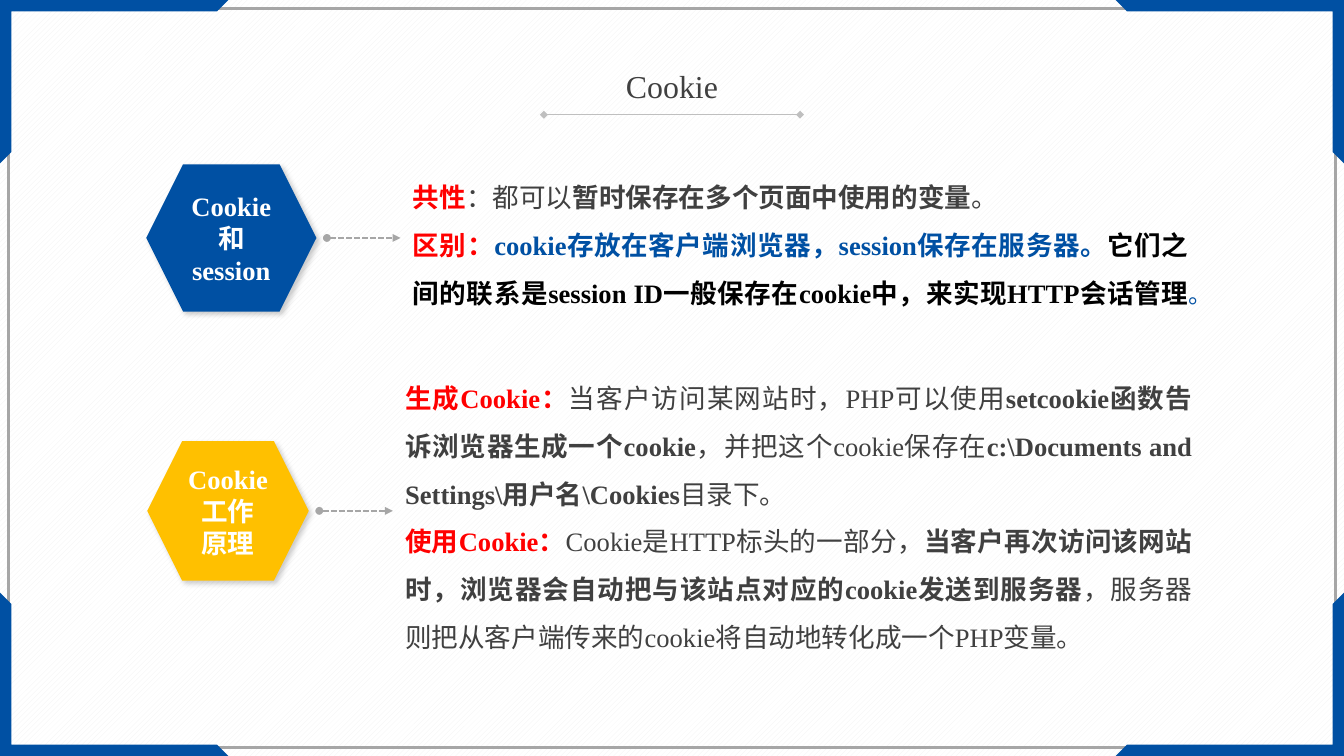
from lxml import etree
from pptx import Presentation
from pptx.dml.color import RGBColor as RGB
from pptx.enum.dml import MSO_LINE as Dash, MSO_PATTERN as Pattern
from pptx.enum.shapes import MSO_CONNECTOR as Link, MSO_SHAPE as Shape
from pptx.enum.text import MSO_ANCHOR as Anchor, MSO_AUTO_SIZE as Fit, PP_ALIGN as Align
from pptx.oxml import parse_xml
from pptx.oxml.ns import nsdecls, qn
from pptx.util import Inches, Pt

WIDE, HIGH = 14.06, 7.91
BLUE = RGB(0x00, 0x50, 0xA3)
GOLD = RGB(0xFF, 0xC0, 0x00)
RED = RGB(0xFF, 0x00, 0x00)
DARK = RGB(0x40, 0x40, 0x40)
GRAY = RGB(0xA6, 0xA6, 0xA6)
PALE = RGB(0xBF, 0xBF, 0xBF)
MIST = RGB(0xF2, 0xF2, 0xF2)
BLACK = RGB(0x00, 0x00, 0x00)
WHITE = RGB(0xFF, 0xFF, 0xFF)

BASE = {"name": "Times New Roman", "size": Pt(20), "bold": False}
STYLES = {
    "title": {"size": Pt(24), "color": DARK},
    "label": {"bold": True, "color": WHITE},
    "lead": {"bold": True, "color": RED},
    "body": {"color": DARK},
    "strong": {"bold": True, "color": DARK},
    "fact": {"bold": True, "color": BLUE},
    "note": {"bold": True, "color": BLACK},
    "stop": {"size": Pt(18), "color": BLUE},
}

COMPARE = [
    [("lead", "共性"), ("body", "：都可以"),
     ("strong", "暂时保存在多个页面中使用的变量"), ("body", "。")],
    [("lead", "区别："),
     ("fact", "cookie存放在客户端浏览器，session保存在服务器。"),
     ("note", "它们之间的联系是session ID一般保存在cookie中，来实现HTTP会话管理"),
     ("stop", "。")],
]
WORKING = [
    [("lead", "生成Cookie："), ("body", "当客户访问某网站时，PHP可以使用"),
     ("strong", "setcookie函数告诉浏览器生成一个cookie"),
     ("body", "，并把这个cookie保存在"),
     ("strong", "c:\\Documents and Settings\\用户名\\Cookies"),
     ("body", "目录下。")],
    [("lead", "使用Cookie："), ("body", "Cookie是HTTP标头的一部分，"),
     ("strong", "当客户再次访问该网站时，浏览器会自动把与该站点对应的cookie发送到服务器"),
     ("body", "，服务器则把从客户端传来的cookie将自动地转化成一个PHP变量。")],
]


def write(frame, paras, align, gap=None):
    """Fill a text frame with paragraphs of (style, text) runs."""
    for i, runs in enumerate(paras):
        para = frame.paragraphs[0] if i == 0 else frame.add_paragraph()
        para.alignment = align
        if gap:
            para.line_spacing = gap
        for style, text in runs:
            run = para.add_run()
            run.text = text
            for key, value in {**BASE, **STYLES[style]}.items():
                if key == "color":
                    run.font.color.rgb = value
                else:
                    setattr(run.font, key, value)


def add_text(slide, box, paras, align, gap=None, wrap=True):
    frame = slide.shapes.add_textbox(*map(Inches, box)).text_frame
    frame.word_wrap = wrap
    frame.auto_size = Fit.SHAPE_TO_FIT_TEXT
    write(frame, paras, align, gap)


def add_line(slide, left, right, y, color, width, ends, dash=None):
    """Draw a level line with the given head and tail marks."""
    line = slide.shapes.add_connector(Link.STRAIGHT, *map(Inches, (left, y, right, y)))
    line.line.color.rgb = color
    line.line.width = Pt(width)
    if dash:
        line.line.dash_style = dash
    for tag, mark in zip(("a:headEnd", "a:tailEnd"), ends):
        etree.SubElement(line.line._get_or_add_ln(), qn(tag), type=mark)
    etree.SubElement(line._element.spPr, qn("a:effectLst"))


def add_shadow(shape):
    shape._element.spPr.append(parse_xml(
        f'<a:effectLst {nsdecls("a")}><a:outerShdw blurRad="{Pt(4)}" dist="{Pt(3)}" '
        'dir="2700000" algn="tl" rotWithShape="0"><a:srgbClr val="000000">'
        '<a:alpha val="20000"/></a:srgbClr></a:outerShdw></a:effectLst>'))


def add_border(slide, box):
    """Draw the grey frame and the four mirrored corner brackets."""
    left, top, width, height = box
    inset, thick, long, tall = 0.09, 0.12, 2.39, 1.71
    rim = slide.shapes.add_shape(Shape.RECTANGLE, *map(Inches, (
        left + inset, top + inset, width - 2 * inset, height - 2 * inset)))
    rim.shadow.inherit = False
    rim.fill.background()
    rim.line.color.rgb = GRAY
    rim.line.width = Pt(2)

    corner = [(0, 0), (long, 0), (long - thick, thick), (thick, thick),
              (thick, tall - thick), (0, tall)]
    for flip in (False, True):
        for turn in (False, True):
            spots = [(Inches(left + (width - x if flip else x)),
                      Inches(top + (height - y if turn else y))) for x, y in corner]
            pen = slide.shapes.build_freeform(*spots[0])
            pen.add_line_segments(spots[1:])
            mark = pen.convert_to_shape()
            mark.shadow.inherit = False
            mark.fill.solid()
            mark.fill.fore_color.rgb = BLUE
            mark.line.fill.background()


def add_title(slide, box, text):
    """Centre the title over a rule on the lower edge of the box."""
    left, top, width, height = box
    wide = 1.17
    add_line(slide, left, left + width, top + height, PALE, 0.5, ("diamond", "diamond"))
    add_text(slide, (left + (width - wide) / 2, top, wide, 0.5),
             [[("title", text)]], Align.CENTER, wrap=False)


def add_topic(slide, box, size, color, label, paras):
    """Place a hexagon, an arrow and the text it points to, on one midline."""
    left, top, width, height = box
    mid, tall = top + height / 2, size * 0.865
    hexa = slide.shapes.add_shape(
        Shape.HEXAGON, *map(Inches, (left, mid - tall / 2, size, tall)))
    hexa.fill.solid()
    hexa.fill.fore_color.rgb = color
    hexa.line.fill.background()
    add_shadow(hexa)
    hexa.text_frame.word_wrap = True
    hexa.text_frame.vertical_anchor = Anchor.MIDDLE
    write(hexa.text_frame, [[("label", text)] for text in label], Align.CENTER)

    start = left + size + 0.11
    end = start + 0.77
    add_line(slide, start, end, mid, GRAY, 1.5, ("oval", "triangle"), Dash.SQUARE_DOT)
    body = end + 0.03
    add_text(slide, (body, top, left + width - body, height), paras, Align.JUSTIFY, 1.5)


def main():
    deck = Presentation()
    deck.slide_width, deck.slide_height = Inches(WIDE), Inches(HIGH)
    slide = deck.slides.add_slide(deck.slide_layouts[6])
    fill = slide.background.fill
    fill.patterned()
    fill.pattern = Pattern.WIDE_UPWARD_DIAGONAL
    fill.fore_color.rgb = MIST
    fill.back_color.rgb = WHITE

    add_border(slide, (0, 0, WIDE, HIGH))
    add_topic(slide, (1.53, 1.68, 11, 1.62), 1.78, BLUE, ["Cookie和session"], COMPARE)
    add_topic(slide, (1.54, 3.78, 11.03, 3.13), 1.69, GOLD, ["Cookie工作", "原理"], WORKING)
    add_title(slide, (5.69, 0.65, 2.68, 0.55), "Cookie")
    deck.save("out.pptx")


if __name__ == "__main__":
    main()
